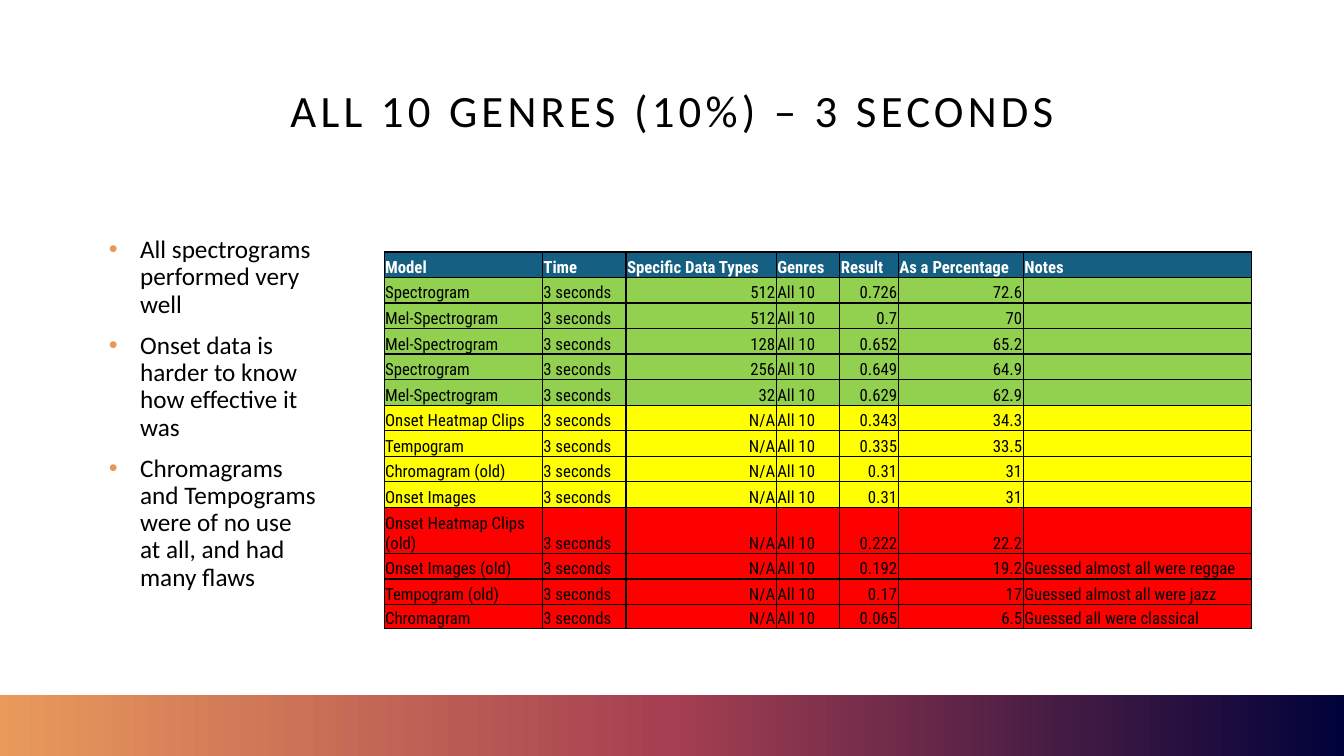
import copy

import lxml.etree
import pptx
import pptx.dml.color
import pptx.enum.shapes
import pptx.enum.text
import pptx.oxml.ns
import pptx.util

Inches, Pt = pptx.util.Inches, pptx.util.Pt
qn = pptx.oxml.ns.qn
PP_ALIGN = pptx.enum.text.PP_ALIGN
ANCHOR = pptx.enum.text.MSO_ANCHOR

COLORS = {
    "text": "000000", "header text": "FFFFFF", "border": "000000",
    "bullet": "E89756", "header": "156082",
    "good": "92D050", "fair": "FFFF00", "poor": "FF0000",
}
BAND_STOPS = [(0, "00023A"), (0.5, "A53F51"), (1, "E99A5B")]

TITLE = "ALL 10 GENRES (10%) – 3 SECONDS"
FINDINGS = [
    "All spectrograms performed very well",
    "Onset data is harder to know how effective it was",
    "Chromagrams and Tempograms were of no use at all, and had many flaws",
]
TIME, GENRES = "3 seconds", "All 10"
HEADINGS = ["Model", "Time", "Specific Data Types", "Genres", "Result",
            "As a Percentage", "Notes"]
# model, data type, result, notes, rating
RESULTS = [
    ("Spectrogram", "512", 0.726, "", "good"),
    ("Mel-Spectrogram", "512", 0.7, "", "good"),
    ("Mel-Spectrogram", "128", 0.652, "", "good"),
    ("Spectrogram", "256", 0.649, "", "good"),
    ("Mel-Spectrogram", "32", 0.629, "", "good"),
    ("Onset Heatmap Clips", "N/A", 0.343, "", "fair"),
    ("Tempogram", "N/A", 0.335, "", "fair"),
    ("Chromagram (old)", "N/A", 0.31, "", "fair"),
    ("Onset Images", "N/A", 0.31, "", "fair"),
    ("Onset Heatmap Clips (old)", "N/A", 0.222, "", "poor"),
    ("Onset Images (old)", "N/A", 0.192, "Guessed almost all were reggae", "poor"),
    ("Tempogram (old)", "N/A", 0.17, "Guessed almost all were jazz", "poor"),
    ("Chromagram", "N/A", 0.065, "Guessed all were classical", "poor"),
]
COLUMN_WIDTHS = [1.57, 0.83, 1.49, 0.63, 0.58, 1.24, 2.26]
NUMBER_COLUMNS = {2, 4, 5}
TABLE_HEIGHT, TWO_LINE_ROW, TWO_LINE_HEIGHT, LAST_HEIGHT = 3.74, 10, 0.46, 0.24


def rgb(value):
    return pptx.dml.color.RGBColor.from_string(value)


def place(item, left, top, width, height):
    item.left, item.top = Inches(left), Inches(top)
    item.width, item.height = Inches(width), Inches(height)


def add_run(paragraph, text, font, size, color, bold=False):
    run = paragraph.add_run()
    run.text = text
    run.font.name, run.font.size, run.font.bold = font, Pt(size), bold
    run.font.color.rgb = rgb(color)
    return run


def add_bullet(paragraph):
    properties = paragraph._p.get_or_add_pPr()
    properties.set("marL", str(Inches(0.31)))
    properties.set("indent", str(-Inches(0.31)))
    bullet_color = lxml.etree.SubElement(properties, qn("a:buClr"))
    lxml.etree.SubElement(bullet_color, qn("a:srgbClr"), val=COLORS["bullet"])
    lxml.etree.SubElement(properties, qn("a:buFont"), typeface="Arial")
    lxml.etree.SubElement(properties, qn("a:buChar"), char="•")


def add_borders(cell):
    properties = cell._tc.get_or_add_tcPr()
    for position, side in enumerate(("lnL", "lnR", "lnT", "lnB")):
        line = lxml.etree.Element(qn(f"a:{side}"), w=str(Pt(1)))
        solid = lxml.etree.SubElement(line, qn("a:solidFill"))
        lxml.etree.SubElement(solid, qn("a:srgbClr"), val=COLORS["border"])
        properties.insert(position, line)


def fill_cell(cell, text, fill, color, bold, align):
    cell.fill.solid()
    cell.fill.fore_color.rgb = rgb(fill)
    add_borders(cell)
    cell.vertical_anchor = ANCHOR.BOTTOM
    cell.margin_left = cell.margin_right = cell.margin_top = Inches(0.01)
    cell.margin_bottom = 0
    paragraph = cell.text_frame.paragraphs[0]
    paragraph.alignment = align
    if text:
        add_run(paragraph, text, "Roboto Condensed", 12, color, bold)
    else:
        # keeps an empty cell from stretching its row
        paragraph._p.get_or_add_endParaRPr().set("sz", "1200")


def add_title(slide):
    title = slide.shapes.title
    place(title, 0.92, 0.4, 11.5, 1.45)
    title.text_frame.vertical_anchor = ANCHOR.MIDDLE
    title.text_frame.auto_size = pptx.enum.text.MSO_AUTO_SIZE.NONE
    paragraph = title.text_frame.paragraphs[0]
    paragraph.alignment = PP_ALIGN.CENTER
    paragraph.line_spacing = 0.9
    run = add_run(paragraph, TITLE, "Calibri", 32, COLORS["text"])
    run.font._element.set("spc", "300")


def add_findings(slide):
    body = slide.placeholders[1]
    place(body, 0.98, 2.3, 2.26, 3.97)
    frame = body.text_frame
    frame.auto_size = pptx.enum.text.MSO_AUTO_SIZE.NONE
    frame.vertical_anchor = ANCHOR.TOP
    for index, finding in enumerate(FINDINGS):
        paragraph = frame.add_paragraph() if index else frame.paragraphs[0]
        paragraph.line_spacing = 0.9
        paragraph.space_before = Pt(10 if index else 0)
        add_bullet(paragraph)
        add_run(paragraph, finding, "Calibri", 18, COLORS["text"])


def add_gradient_band(slide):
    band = slide.shapes.add_shape(
        pptx.enum.shapes.MSO_SHAPE.RECTANGLE,
        0, Inches(6.89), Inches(13.33), Inches(0.61))
    band.shadow.inherit = False
    band.line.fill.background()
    band.fill.gradient()
    band.fill.gradient_angle = 180
    stop_list = band._element.spPr.find(".//" + qn("a:gsLst"))
    stop_list.append(copy.deepcopy(stop_list[0]))
    for stop, (position, color) in zip(band.fill.gradient_stops, BAND_STOPS):
        stop.position = position
        stop.color.rgb = rgb(color)


def add_results(slide):
    rows = [(HEADINGS, "header")]
    for model, data_type, result, notes, rating in RESULTS:
        rows.append(([model, TIME, data_type, GENRES, f"{result:g}",
                      f"{result * 100:g}", notes], rating))
    table = slide.shapes.add_table(
        len(rows), len(HEADINGS), Inches(3.81), Inches(2.5),
        Inches(sum(COLUMN_WIDTHS)), Inches(TABLE_HEIGHT)).table
    table.first_row = table.horz_banding = False
    for column, width in zip(table.columns, COLUMN_WIDTHS):
        column.width = Inches(width)

    special_heights = {TWO_LINE_ROW: TWO_LINE_HEIGHT, len(rows) - 1: LAST_HEIGHT}
    common_height = ((TABLE_HEIGHT - sum(special_heights.values()))
                     / (len(rows) - len(special_heights)))
    for row_index, (texts, rating) in enumerate(rows):
        table.rows[row_index].height = Inches(
            special_heights.get(row_index, common_height))
        header = rating == "header"
        color = COLORS["header text" if header else "text"]
        for column_index, text in enumerate(texts):
            number = column_index in NUMBER_COLUMNS and not header
            fill_cell(table.cell(row_index, column_index), text,
                      COLORS[rating], color, header,
                      PP_ALIGN.RIGHT if number else PP_ALIGN.LEFT)


def main():
    deck = pptx.Presentation()
    deck.slide_width, deck.slide_height = Inches(13.33), Inches(7.5)
    slide = deck.slides.add_slide(deck.slide_layouts[1])
    add_title(slide)
    add_findings(slide)
    add_gradient_band(slide)
    add_results(slide)
    deck.save("out.pptx")


if __name__ == "__main__":
    main()
